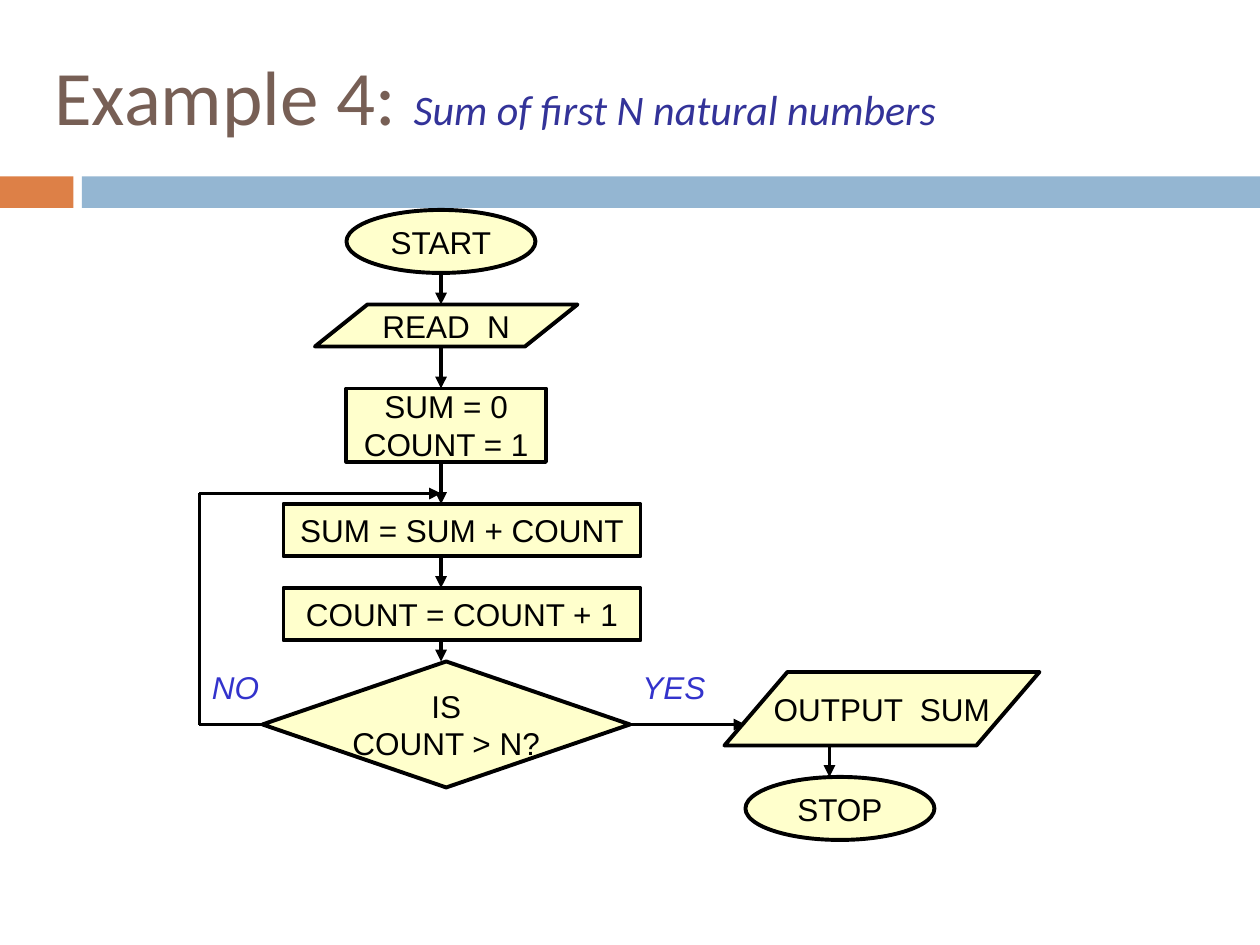
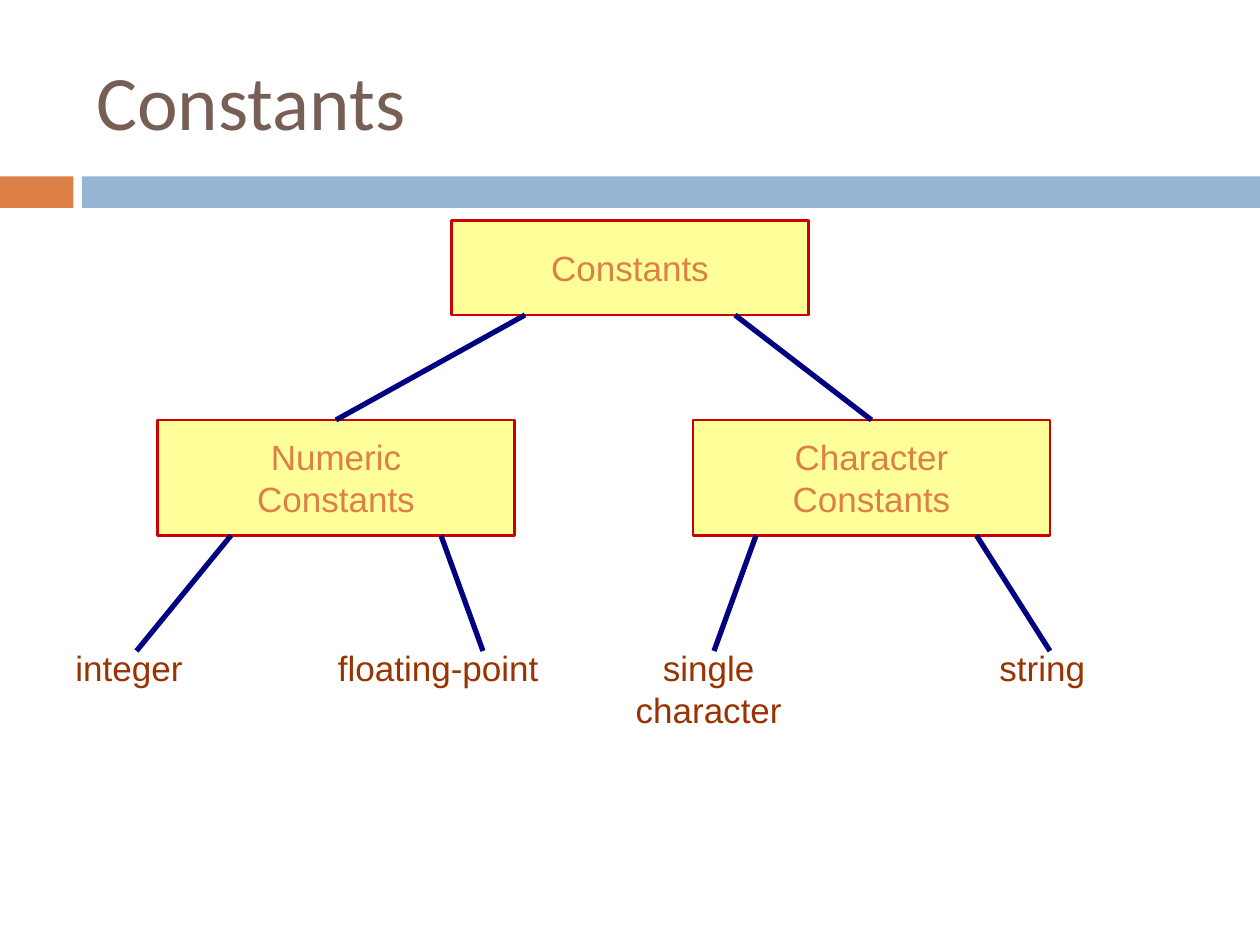
from itertools import pairwise

from lxml.etree import SubElement
from pptx import Presentation
from pptx.dml.color import RGBColor
from pptx.enum.shapes import MSO_CONNECTOR, MSO_SHAPE
from pptx.enum.text import MSO_ANCHOR, PP_ALIGN
from pptx.oxml.ns import qn
from pptx.util import Pt

SCALE = 7620  # EMU per px, 120 px to the inch
BLANK = 6


def px(*sizes):
    return [size * SCALE for size in sizes]


def hue(code):
    return RGBColor.from_string(code)


def style(run, size, color, font="Arial", slant=False):
    run.font.size = Pt(size)
    run.font.name = font
    run.font.color.rgb = hue(color)
    run.font.italic = slant


class Deck:
    """Holds the presentation, the look of the current slide and the slide."""

    def __init__(self):
        self.show = Presentation()
        self.show.slide_width, self.show.slide_height = px(1200, 900)

    def start(self, size, fill, edge, width, ink, line, stroke):
        """Add a slide with its bands and set the look of its diagram."""
        self.size, self.fill, self.edge, self.width = size, fill, edge, width
        self.ink, self.line, self.stroke = ink, line, stroke
        self.slide = self.show.slides.add_slide(self.show.slide_layouts[BLANK])
        self.shape(MSO_SHAPE.RECTANGLE, (0, 168, 70, 30), "DD8047")
        self.shape(MSO_SHAPE.RECTANGLE, (78, 168, 1122, 30), "94B6D2")

    def shape(self, kind, area, fill):
        item = self.slide.shapes.add_shape(kind, *px(*area))
        item.shadow.inherit = False
        item.fill.solid()
        item.fill.fore_color.rgb = hue(fill)
        item.line.fill.background()
        return item

    def title(self, area, text, note=""):
        frame = self.slide.shapes.add_textbox(*px(*area)).text_frame
        frame.word_wrap = True
        frame.vertical_anchor = MSO_ANCHOR.MIDDLE
        frame.text = text
        head = frame.paragraphs[0]
        style(head.runs[0], 44, "775F55", "Calibri")
        if note:
            run = head.add_run()
            run.text = note
            style(run, 24, "333399", "Calibri", True)

    def words(self, frame, text, color, align, slant=False):
        frame.text = text
        for para in frame.paragraphs:
            para.alignment = align
            for run in para.runs:
                style(run, self.size, color, slant=slant)

    def node(self, kind, area, text):
        item = self.shape(kind, area, self.fill)
        item.line.color.rgb = hue(self.edge)
        item.line.width = Pt(self.width)
        frame = item.text_frame
        frame.word_wrap = False
        frame.vertical_anchor = MSO_ANCHOR.MIDDLE
        self.words(frame, text, self.ink, PP_ALIGN.CENTER)

    def label(self, area, text, color, align=PP_ALIGN.LEFT, slant=False):
        frame = self.slide.shapes.add_textbox(*px(*area)).text_frame
        frame.word_wrap = True
        self.words(frame, text, color, align, slant)

    def link(self, start, end, arrow=False):
        item = self.slide.shapes.add_connector(
            MSO_CONNECTOR.STRAIGHT, *px(*start, *end))
        item.line.color.rgb = hue(self.line)
        item.line.width = Pt(self.stroke)
        props = item._element.spPr
        if arrow:
            SubElement(props.find(qn("a:ln")), qn("a:tailEnd"), type="triangle")
        SubElement(props, qn("a:effectLst"))


def draw_sum(deck):
    deck.start(18, "FFFFCC", "000000", 2.25, "000000", "000000", 2.25)
    deck.title((40, 30, 1050, 120), "Example 4: ", "Sum of first N natural numbers")

    oval, box = MSO_SHAPE.OVAL, MSO_SHAPE.RECTANGLE
    data, test = MSO_SHAPE.FLOWCHART_DATA, MSO_SHAPE.FLOWCHART_DECISION
    steps = [
        (oval, (330, 200, 180, 60), "START"),
        (data, (300, 290, 250, 40), "READ  N"),
        (box, (330, 370, 190, 70), "SUM = 0\nCOUNT = 1"),
        (box, (270, 480, 340, 50), "SUM = SUM + COUNT"),
        (box, (270, 560, 340, 50), "COUNT = COUNT + 1"),
        (test, (250, 630, 350, 120), "IS\nCOUNT > N?"),
    ]
    ends = [
        (data, (690, 640, 300, 70), "OUTPUT  SUM"),
        (oval, (710, 740, 180, 60), "STOP"),
    ]
    for step in steps + ends:
        deck.node(*step)
    for chain, mid in ((steps, 420), (ends, 790)):
        for (_, upper, _), (_, lower, _) in pairwise(chain):
            deck.link((mid, upper[1] + upper[3]), (mid, lower[1]), True)

    loop = [(250, 690), (190, 690), (190, 470), (420, 470)]
    for start, end in pairwise(loop):
        deck.link(start, end, end == loop[-1])
    deck.link((600, 690), (710, 690), True)
    for left, text in ((600, "YES"), (190, "NO")):
        deck.label((left, 630, 140, 48), text, "3333CC", slant=True)


def draw_tree(deck):
    deck.start(20, "FFFF99", "CC0000", 1.5, "DD8047", "000080", 3)
    deck.title((80, 30, 1070, 130), "Constants")

    nodes = [
        ((430, 210, 340, 90), "Constants"),
        ((150, 400, 340, 110), "Numeric\nConstants"),
        ((660, 400, 340, 110), "Character\nConstants"),
    ]
    for area, text in nodes:
        deck.node(MSO_SHAPE.RECTANGLE, area, text)

    leaves = [
        (60, 210, "integer", PP_ALIGN.LEFT),
        (310, 270, "floating-point", PP_ALIGN.LEFT),
        (570, 210, "single\ncharacter", PP_ALIGN.CENTER),
        (940, 150, "string", PP_ALIGN.LEFT),
    ]
    for left, width, text, align in leaves:
        rows = text.count("\n") + 1
        deck.label((left, 610, width, 12 + 40 * rows), text, "993300", align)

    tiers = [
        (300, 400, [(500, 320), (700, 830)]),
        (510, 620, [(220, 130), (420, 460), (720, 680), (930, 1000)]),
    ]
    for top, foot, pairs in tiers:
        for start, end in pairs:
            deck.link((start, top), (end, foot))


def main():
    deck = Deck()
    draw_sum(deck)
    draw_tree(deck)
    deck.show.save("out.pptx")


if __name__ == "__main__":
    main()
